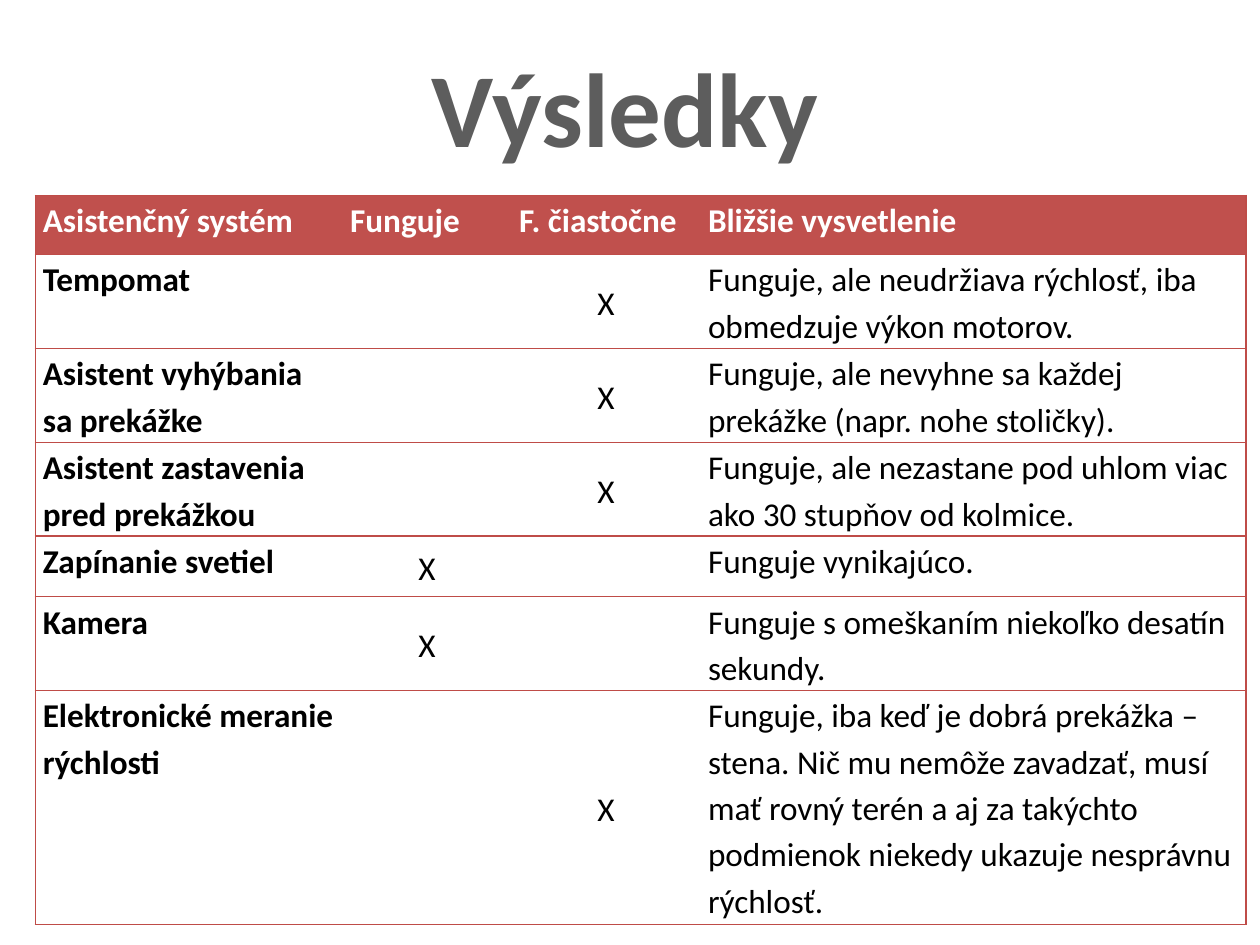
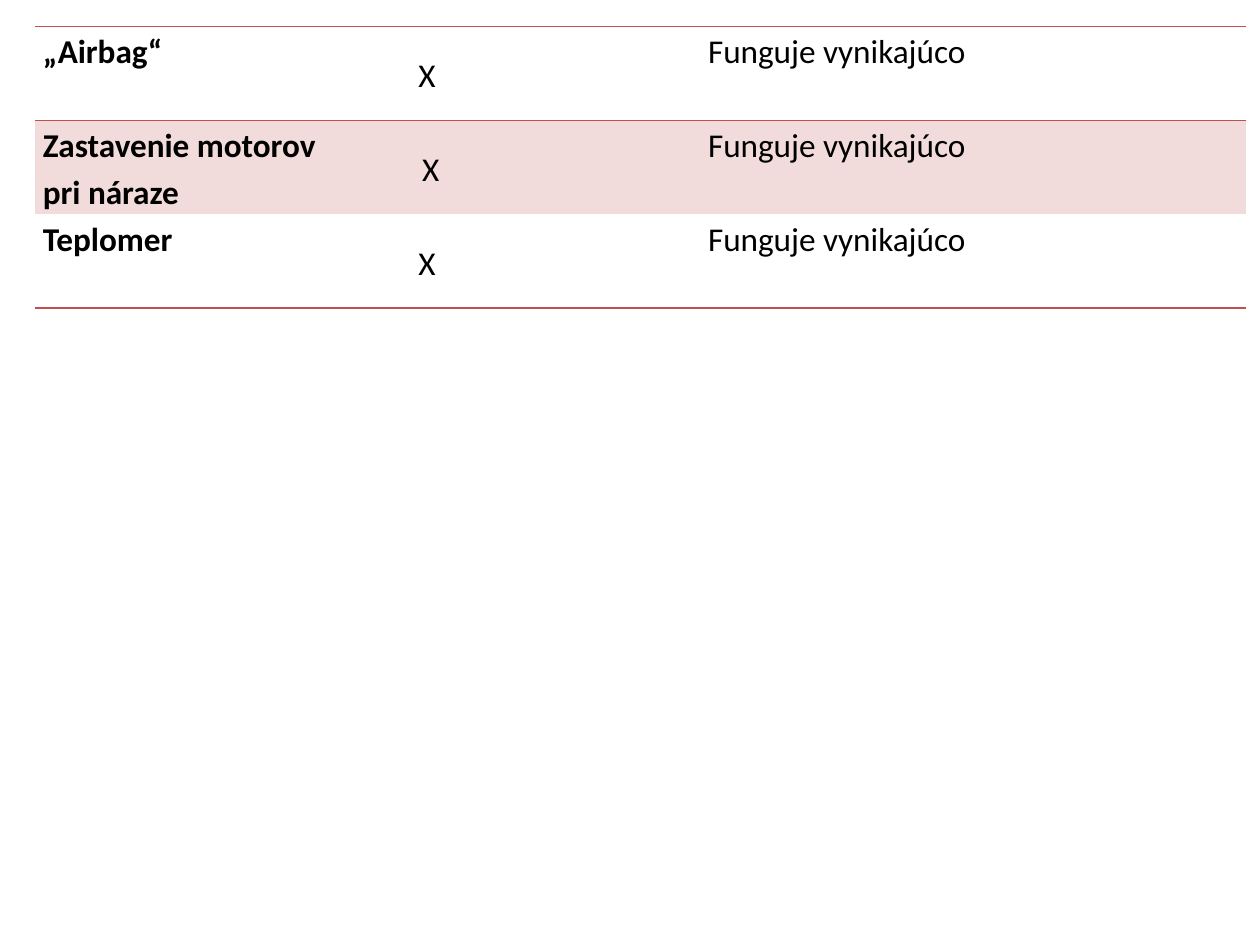
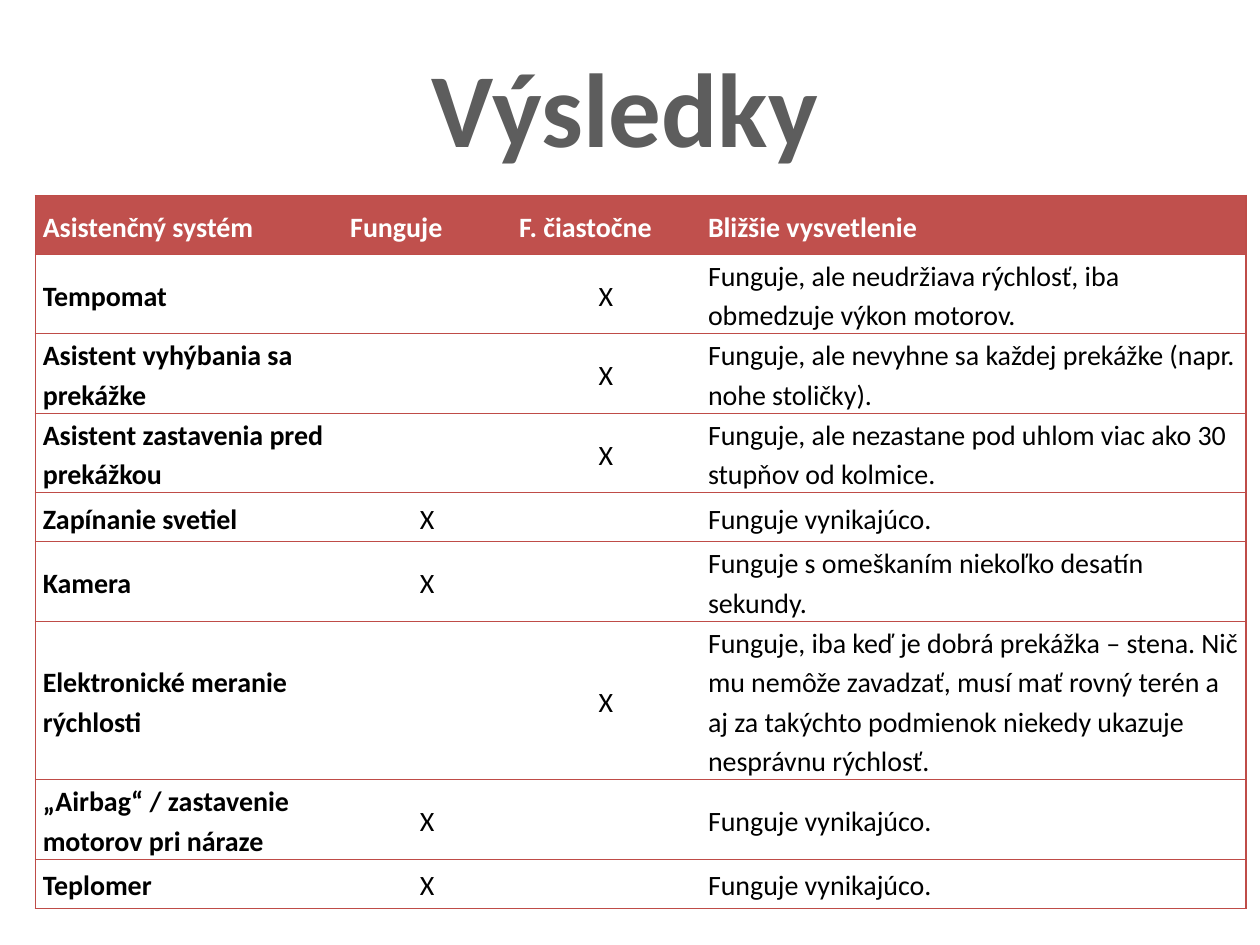
from dataclasses import dataclass

from lxml import etree
from pptx import Presentation
from pptx import util as u
from pptx.dml import color as c
from pptx.enum import text
from pptx.oxml import ns

HEADER = ("Asistenčný systém", "Funguje", "F. čiastočne", "Bližšie vysvetlenie")
SYSTEMS = [
    ("Tempomat", "", "X", "Funguje, ale neudržiava rýchlosť, iba obmedzuje výkon motorov."),
    ("Asistent vyhýbania sa prekážke", "", "X",
     "Funguje, ale nevyhne sa každej prekážke (napr. nohe stoličky)."),
    ("Asistent zastavenia pred prekážkou", "", "X",
     "Funguje, ale nezastane pod uhlom viac ako 30 stupňov od kolmice."),
    ("Zapínanie svetiel", "X", "", "Funguje vynikajúco."),
    ("Kamera", "X", "", "Funguje s omeškaním niekoľko desatín sekundy."),
    ("Elektronické meranie rýchlosti", "", "X",
     "Funguje, iba keď je dobrá prekážka – stena. Nič mu nemôže zavadzať, musí mať rovný "
     "terén a aj za takýchto podmienok niekedy ukazuje nesprávnu rýchlosť."),
]
IMPACT_SYSTEMS = [
    ("„Airbag“", "X", "", "Funguje vynikajúco"),
    ("Zastavenie motorov pri náraze", " X", "", "Funguje vynikajúco"),
    ("Teplomer", "X", "", "Funguje vynikajúco"),
]
SUMMARY_SYSTEMS = [
    ("„Airbag“ / zastavenie motorov pri náraze", "X", "", "Funguje vynikajúco."),
    ("Teplomer", "X", "", "Funguje vynikajúco."),
]


@dataclass(frozen=True)
class Theme:
    """Colours, font and type sizes shared by the slides."""
    font: str = "Calibri"
    title: str = "5D5D5D"
    ink: str = "000000"
    paper: str = "FFFFFF"
    accent: str = "C0504D"
    tint: str = "F2DCDB"
    rule: str = "BF4C48"
    title_size: int = 60
    large: int = 19
    small: int = 16


class Deck:
    """Draws results slides on a grid of 100 columns by 75 rows."""

    columns = (24.4, 13.4, 15, 43.3)
    left = 2.8

    def __init__(self, theme):
        """Open an empty presentation of 10 by 7.5 inches."""
        self.theme = theme
        self.presentation = Presentation()
        self.presentation.slide_width = u.Inches(10)
        self.presentation.slide_height = u.Inches(7.5)
        self.slide = None

    def lengths(self, *units):
        """Turn grid units into lengths."""
        return [round(self.presentation.slide_width * unit / 100) for unit in units]

    def add_slide(self):
        """Start a blank slide."""
        self.slide = self.presentation.slides.add_slide(self.presentation.slide_layouts[6])

    def words(self, paragraph, content, color, **formats):
        """Put one run in the theme font into a paragraph."""
        run = paragraph.add_run()
        run.text = content
        run.font.color.rgb = c.RGBColor.from_string(color)
        for name, value in dict(name=self.theme.font, **formats).items():
            setattr(run.font, name, value)

    def title(self, content):
        """Add the centred slide title."""
        shape = self.slide.shapes.add_textbox(*self.lengths(33.1, 2.9, 33, 11.1))
        shape.text_frame.word_wrap = False
        paragraph = shape.text_frame.paragraphs[0]
        paragraph.alignment = text.PP_ALIGN.CENTER
        self.words(paragraph, content, self.theme.title,
                   size=u.Pt(self.theme.title_size), bold=True)

    def borders(self, cell, sides, color, width):
        """Rule the named sides of a cell and clear the others."""
        properties = cell._tc.get_or_add_tcPr()
        for side in "LRTB":
            line = etree.SubElement(properties, ns.qn(f"a:ln{side}"), w=str(u.Pt(width)))
            if side in sides:
                fill = etree.SubElement(line, ns.qn("a:solidFill"))
                etree.SubElement(fill, ns.qn("a:srgbClr"), val=color)
            else:
                etree.SubElement(line, ns.qn("a:noFill"))

    def cell(self, cell, content, size, color, bold, centred, middle, fill):
        """Fill one table cell and set its text."""
        edge = u.Inches(0.06)
        anchor = text.MSO_ANCHOR.MIDDLE if middle else text.MSO_ANCHOR.TOP
        formats = dict(margin_left=edge, margin_right=edge, margin_top=0, margin_bottom=0,
                       vertical_anchor=anchor)
        for name, value in formats.items():
            setattr(cell, name, value)
        if fill:
            cell.fill.solid()
            cell.fill.fore_color.rgb = c.RGBColor.from_string(fill)
        else:
            cell.fill.background()
        paragraph = cell.text_frame.paragraphs[0]
        paragraph.line_spacing = 1.15
        paragraph.alignment = text.PP_ALIGN.CENTER if centred else text.PP_ALIGN.LEFT
        if content:
            self.words(paragraph, content, color, size=u.Pt(size), bold=bold)

    def table(self, rows, top, heights, size, rules, fills, rule_color, rule_width,
              header=True, middle=False):
        """Add a results table with horizontal rules, boxed when it has a header."""
        frame = self.slide.shapes.add_table(
            len(rows), len(self.columns),
            *self.lengths(self.left, top, sum(self.columns), sum(heights)))
        table = frame.table
        table.first_row = header
        table.horz_banding = False
        for column, width in zip(table.columns, self.lengths(*self.columns)):
            column.width = width
        for row, height in zip(table.rows, self.lengths(*heights)):
            row.height = height
        last = len(self.columns) - 1
        for row, values in enumerate(rows):
            heading = header and row == 0
            for column, content in enumerate(values):
                drawn = {"L": header and column == 0, "R": header and column == last,
                         "T": row in rules, "B": row + 1 in rules}
                cell = table.cell(row, column)
                self.borders(cell, [side for side in drawn if drawn[side]],
                             rule_color, rule_width)
                mark = not heading and column in (1, 2)
                self.cell(cell, content, size, self.theme.paper if heading else self.theme.ink,
                          bold=heading or column == 0, centred=mark,
                          middle=middle or mark, fill=fills.get(row))

    def results(self, rows, heights, size, middle=False):
        """Add a titled slide with a boxed results table."""
        self.add_slide()
        self.table([HEADER, *rows], 15.5, heights, size, range(len(rows) + 2),
                   {0: self.theme.accent}, self.theme.rule, 0.75, middle=middle)
        self.title("Výsledky")

    def continuation(self, rows, heights, size):
        """Add an untitled slide with an open, banded table."""
        self.add_slide()
        self.table(rows, 2.1, heights, size, (0, 1, 3), {1: self.theme.tint},
                   self.theme.accent, 1, header=False)


def main():
    """Build the three slides."""
    theme = Theme()
    deck = Deck(theme)
    deck.results(SYSTEMS, [4.7, 7.45, 7.45, 7.45, 4.8, 7.45, 18.6], theme.large)
    deck.continuation(IMPACT_SYSTEMS, [7.45] * 3, theme.large)
    deck.results(SYSTEMS + SUMMARY_SYSTEMS,
                 [4.7, 6.3, 6.3, 6.3, 3.9, 6.3, 12.6, 6.3, 3.9], theme.small, middle=True)
    deck.presentation.save("out.pptx")


if __name__ == "__main__":
    main()
